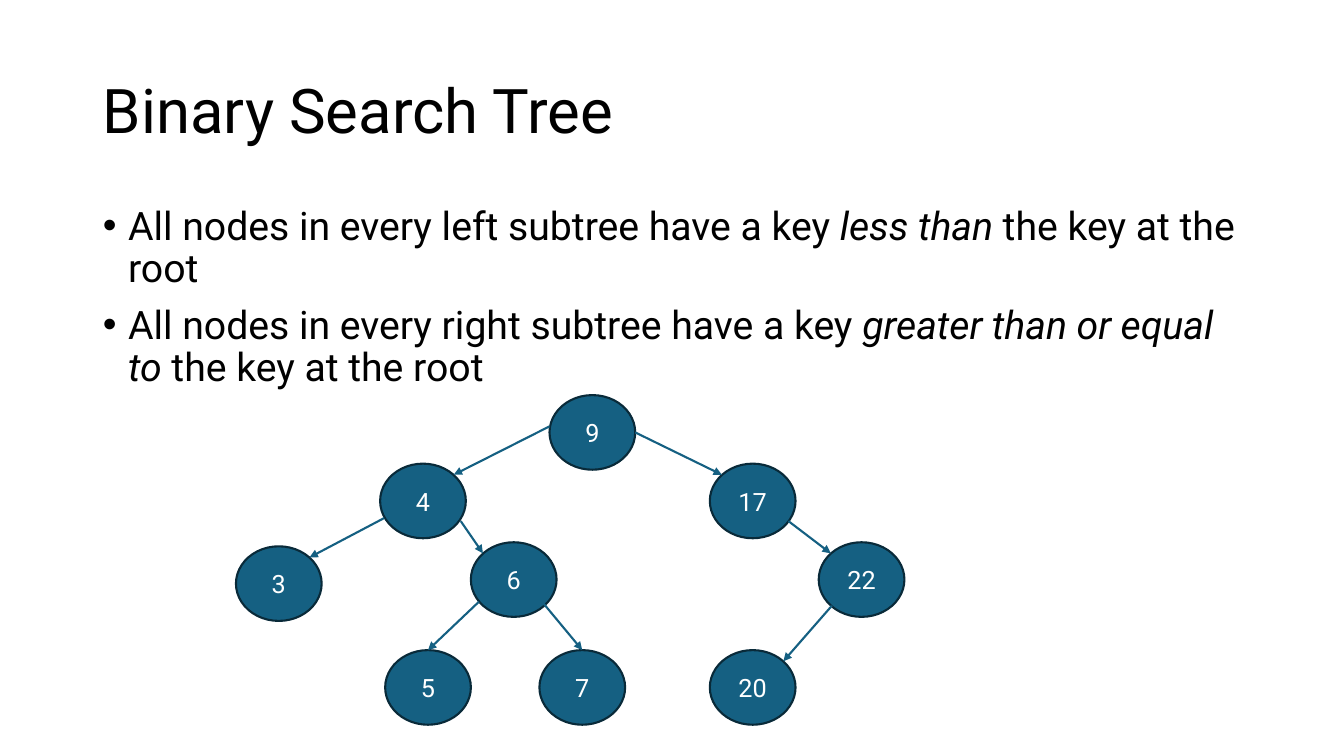
"""Build a slide that explains the binary search tree with a drawn example."""
from lxml import etree
from pptx import Presentation
from pptx.dml.color import RGBColor
from pptx.enum.shapes import MSO_CONNECTOR, MSO_SHAPE
from pptx.enum.text import MSO_ANCHOR, MSO_AUTO_SIZE, PP_ALIGN
from pptx.oxml.ns import qn
from pptx.util import Inches, Pt

ELLIPSE = MSO_SHAPE.OVAL
STRAIGHT = MSO_CONNECTOR.STRAIGHT
MIDDLE, TOP = MSO_ANCHOR.MIDDLE, MSO_ANCHOR.TOP
LEFT, CENTER = PP_ALIGN.LEFT, PP_ALIGN.CENTER
NO_AUTOFIT = MSO_AUTO_SIZE.NONE

BLACK, WHITE, TEAL, NAVY = "000000", "FFFFFF", "156082", "092A39"
NODE_WIDTH, NODE_HEIGHT = 0.85, 0.74


def color(hex_value):
    return RGBColor.from_string(hex_value)


def add_span(para, text, size, hex_value, italic=False):
    span = para.add_run()
    span.text = text
    formats = {"name": "Roboto", "size": Pt(size), "italic": italic}
    for name, value in formats.items():
        setattr(span.font, name, value)
    span.font.color.rgb = color(hex_value)


deck = Presentation()
deck.slide_width, deck.slide_height = Inches(13.33), Inches(7.5)
page = deck.slides.add_slide(deck.slide_layouts[1])
title, body = page.shapes.title, page.placeholders[1]

for box, top, height, anchor in ((title, 0.4, 1.45, MIDDLE), (body, 2, 4.76, TOP)):
    place = {"left": 0.92, "top": top, "width": 11.5, "height": height}
    for name, value in place.items():
        setattr(box, name, Inches(value))
    frame_formats = {"word_wrap": True, "auto_size": NO_AUTOFIT, "vertical_anchor": anchor}
    for name, value in frame_formats.items():
        setattr(box.text_frame, name, value)

heading = title.text_frame.paragraphs[0]
heading.alignment = LEFT
heading.line_spacing = 0.9
add_span(heading, "Binary Search Tree", 44, BLACK)

rules = (("left", "less than"), ("right", "greater than or equal to"))
for index, (side, relation) in enumerate(rules):
    para = body.text_frame.add_paragraph() if index else body.text_frame.paragraphs[0]
    para.line_spacing = 0.9
    para.space_before = Pt(10)
    indents = {"marL": Inches(0.25), "indent": Inches(-0.25)}
    for name, value in indents.items():
        para._p.get_or_add_pPr().set(name, str(value))
    add_span(para, f"All nodes in every {side} subtree have a key ", 28, BLACK)
    add_span(para, relation, 28, BLACK, italic=True)
    add_span(para, " the key at the root", 28, BLACK)

nodes = {
    9: (5.45, 3.92), 4: (3.77, 4.6), 17: (7.04, 4.6),
    6: (4.67, 5.38), 3: (2.34, 5.42), 22: (8.12, 5.38),
    5: (3.82, 6.45), 7: (5.35, 6.45), 20: (7.04, 6.45),
}
for key, (left, top) in nodes.items():
    node = page.shapes.add_shape(
        ELLIPSE, Inches(left), Inches(top), Inches(NODE_WIDTH), Inches(NODE_HEIGHT))
    node.shadow.inherit = False
    node.fill.solid()
    node.fill.fore_color.rgb = color(TEAL)
    node.line.color.rgb = color(NAVY)
    node.line.width = Pt(1.5)
    node.text_frame.vertical_anchor = MIDDLE
    label = node.text_frame.paragraphs[0]
    label.alignment = CENTER
    add_span(label, str(key), 18, WHITE)

arrival_points = {
    "top left": (0.12, 0.11),
    "top": (NODE_WIDTH / 2, 0),
    "top right": (NODE_WIDTH - 0.12, 0.11),
}
edges = (
    (6.3, 4.29, 17, "top left"), (7.82, 5.17, 22, "top left"),
    (8.25, 6.01, 20, "top right"), (5.45, 4.23, 4, "top right"),
    (3.81, 5.14, 3, "top right"), (4.57, 5.17, 6, "top left"),
    (5.36, 5.95, 7, "top"), (4.75, 5.97, 5, "top"),
)
for start_x, start_y, child, arrival in edges:
    left, top = nodes[child]
    shift_x, shift_y = arrival_points[arrival]
    arrow = page.shapes.add_connector(
        STRAIGHT, Inches(start_x), Inches(start_y),
        Inches(left + shift_x), Inches(top + shift_y))
    arrow.line.color.rgb = color(TEAL)
    arrow.line.width = Pt(1.5)
    properties = arrow._element.spPr
    etree.SubElement(properties.find(qn("a:ln")), qn("a:tailEnd"), type="triangle")
    etree.SubElement(properties, qn("a:effectLst"))

deck.save("out.pptx")
